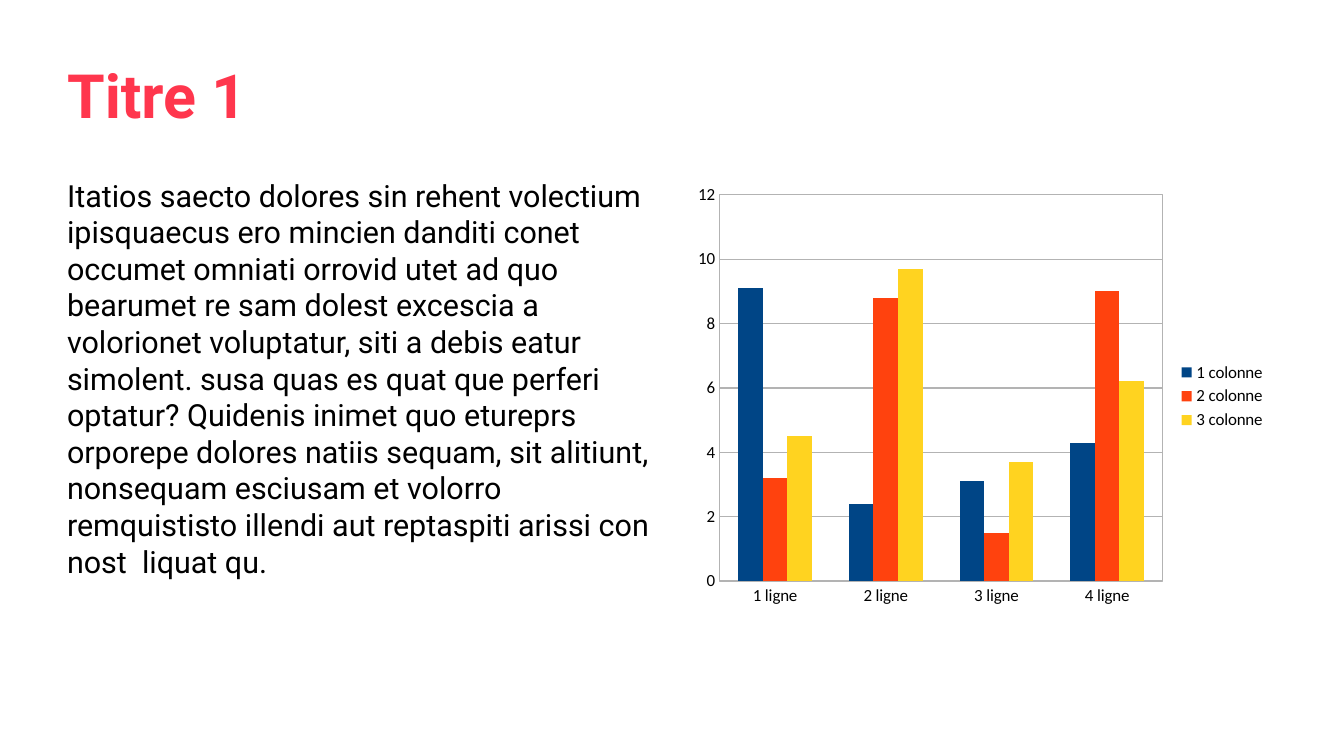
from pptx import Presentation
from pptx.chart.data import CategoryChartData
from pptx.dml.color import RGBColor
from pptx.enum import chart as charts, text
from pptx.oxml import parse_xml
from pptx.oxml.ns import nsdecls, qn
from pptx.util import Inches, Pt

BODY = (
    "Itatios saecto dolores sin rehent volectium ipisquaecus ero mincien "
    "danditi conet occumet omniati orrovid utet ad quo bearumet re sam dolest "
    "excescia a volorionet voluptatur, siti a debis eatur simolent. susa quas "
    "es quat que perferi optatur? Quidenis inimet quo etureprs orporepe dolores "
    "natiis sequam, sit alitiunt, nonsequam esciusam et volorro remquististo "
    "illendi aut reptaspiti arissi con nost  liquat qu."
)
ROWS = ["1 ligne", "2 ligne", "3 ligne", "4 ligne"]
SERIES = [
    ("1 colonne", [9.1, 2.4, 3.1, 4.3], "004586"),
    ("2 colonne", [3.2, 8.8, 1.5, 9], "FF420E"),
    ("3 colonne", [4.5, 9.7, 3.7, 6.2], "FFD320"),
]
GREY = "B3B3B3"
LEFT, TOP, WIDTH, HEIGHT, GAP = 0.55, 1.45, 4.84, 3.6, 0.25


def color(code):
    return RGBColor.from_string(code)


def style(font, name, size, code, bold=False):
    font.name, font.size, font.bold = name, Pt(size), bold
    font.color.rgb = color(code)


def rule(line):
    line.color.rgb = color(GREY)
    line.width = Pt(0.75)


def write(slide, box, words, size, code, bold=False,
          anchor=text.MSO_ANCHOR.TOP):
    frame = slide.shapes.add_textbox(*map(Inches, box)).text_frame
    frame.word_wrap = True
    frame.vertical_anchor = anchor
    frame.margin_left = frame.margin_right = 0
    frame.margin_top = frame.margin_bottom = 0
    para = frame.paragraphs[0]
    para.text = words
    style(para.font, "Roboto", size, code, bold)


def frame_plot(chart, x, y, w, h):
    """Fix the inner plot area, in shares of the chart, and outline it."""
    area = chart._chartSpace.chart.plotArea
    for old in area.findall(qn("c:layout")):
        area.remove(old)
    area.insert(0, parse_xml(
        f'<c:layout {nsdecls("c")}><c:manualLayout>'
        '<c:layoutTarget val="inner"/>'
        '<c:xMode val="edge"/><c:yMode val="edge"/>'
        f'<c:x val="{x}"/><c:y val="{y}"/><c:w val="{w}"/><c:h val="{h}"/>'
        '</c:manualLayout></c:layout>'))
    area.append(parse_xml(
        f'<c:spPr {nsdecls("c", "a")}><a:noFill/><a:ln w="9525"><a:solidFill>'
        f'<a:srgbClr val="{GREY}"/></a:solidFill></a:ln></c:spPr>'))


def bars(slide, box):
    data = CategoryChartData()
    data.categories = ROWS
    for name, vals, _ in SERIES:
        data.add_series(name, vals)
    chart = slide.shapes.add_chart(
        charts.XL_CHART_TYPE.COLUMN_CLUSTERED, *map(Inches, box), data).chart
    style(chart.font, "Calibri", 10, "000000")
    chart.has_title = False
    chart.has_legend = True
    chart.legend.position = charts.XL_LEGEND_POSITION.RIGHT
    chart.legend.include_in_layout = False

    plot = chart.plots[0]
    plot.gap_width, plot.overlap, plot.vary_by_categories = 150, 0, False
    for series, (_, _, code) in zip(plot.series, SERIES):
        series.format.fill.solid()
        series.format.fill.fore_color.rgb = color(code)

    for axis in (chart.category_axis, chart.value_axis):
        axis.major_tick_mark = axis.minor_tick_mark = charts.XL_TICK_MARK.NONE
        rule(axis.format.line)
    scale = chart.value_axis
    scale.minimum_scale, scale.maximum_scale, scale.major_unit = 0, 12, 2
    scale.has_major_gridlines = True
    rule(scale.major_gridlines.format.line)
    frame_plot(chart, 0.054, 0.041, 0.75, 0.88)


def main():
    deck = Presentation()
    deck.slide_width, deck.slide_height = Inches(11.02), Inches(6.2)
    slide = deck.slides.add_slide(deck.slide_layouts[6])
    write(slide, (LEFT, 0.25, 9.92, 1.04), "Titre 1", 36, "FF364D",
          bold=True, anchor=text.MSO_ANCHOR.MIDDLE)
    write(slide, (LEFT, TOP, WIDTH, HEIGHT), BODY, 18, "000000")
    bars(slide, (LEFT + WIDTH + GAP, TOP, WIDTH, HEIGHT))
    deck.save("out.pptx")


if __name__ == "__main__":
    main()
